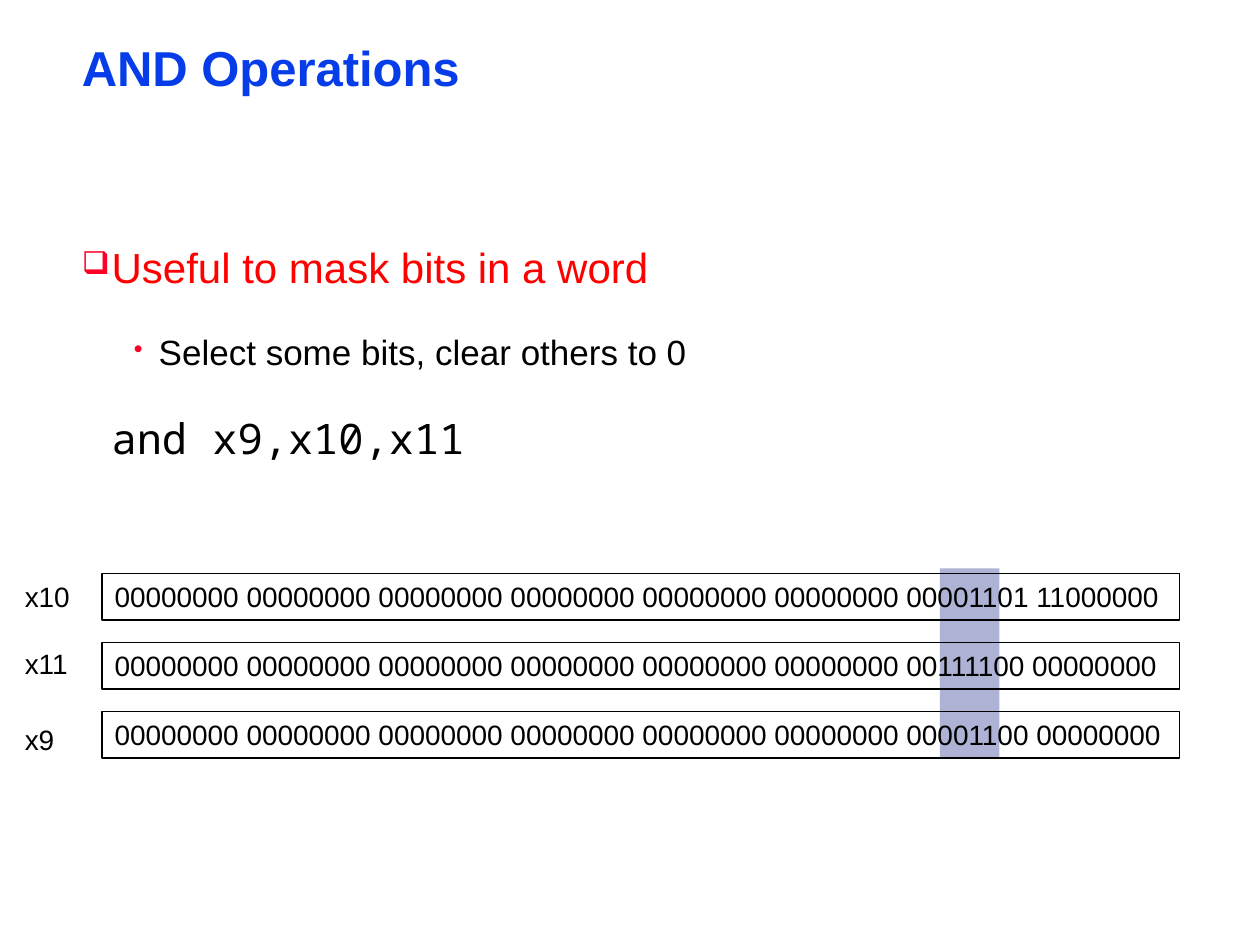
import pptx
import pptx.util
import pptx.dml.color
import pptx.enum.shapes
import pptx.enum.text
import pptx.oxml.ns
from lxml import etree

Cm = pptx.util.Cm
Pt = pptx.util.Pt

COLORS = {
    "title": "063DE8",
    "topic": "FF0000",
    "bullet": "FC0128",
    "text": "000000",
    "mask": "AEB3D5",
}
SANS, MONO = "Arial", "Noto Sans Mono"

ZERO_BYTES = "00000000 " * 6
# Register name, low two bytes, top of the label
REGISTERS = [
    ("x10", "00001101 11000000", 11.56),
    ("x11", "00111100 00000000", 12.9),
    ("x9", "00001100 00000000", 14.45),
]
ROW_TOP, ROW_PITCH, ROW_HEIGHT = 11.56, 1.39, 0.94

# Text, level, size, color, font, left indent, bullet, space before
POINTS = [
    ("Useful to mask bits in a word", 0, 24, "topic", SANS, 0.6, "\u2751", 16),
    ("Select some bits, clear others to 0", 1, 20, "text", SANS, 1.55, "\u2022", 10),
    ("and x9,x10,x11", 0, 24, "text", MONO, 0.6, None, 8),
]
HANGING = [0.6, 0.5]


def rgb(name):
    return pptx.dml.color.RGBColor.from_string(COLORS[name])


def style(paragraph, size, color="text", font=SANS, bold=False):
    for run in paragraph.runs:
        run.font.size = Pt(size)
        run.font.name = font
        run.font.bold = bold
        run.font.color.rgb = rgb(color)


def add_text_area(slide, left, top, width, height, wrap=True):
    area = slide.shapes.add_textbox(Cm(left), Cm(top), Cm(width), Cm(height))
    area.text_frame.word_wrap = wrap
    return area.text_frame


def set_tight_margins(frame):
    frame.margin_left = frame.margin_right = Cm(0.18)
    frame.margin_top = frame.margin_bottom = Cm(0.08)


def add_box(slide, left, top, width, height, fill=None, line=None):
    box = slide.shapes.add_shape(
        pptx.enum.shapes.MSO_SHAPE.RECTANGLE,
        Cm(left), Cm(top), Cm(width), Cm(height))
    box.shadow.inherit = False
    if fill:
        box.fill.solid()
        box.fill.fore_color.rgb = rgb(fill)
    else:
        box.fill.background()
    if line:
        box.line.color.rgb = rgb(line)
        box.line.width = Pt(0.75)
    else:
        box.line.fill.background()
    return box


def set_indent(paragraph, left, hanging, bullet):
    properties = paragraph._p.get_or_add_pPr()
    properties.set("marL", str(Cm(left)))
    properties.set("indent", str(-Cm(hanging) if bullet else 0))
    if not bullet:
        return
    qn = pptx.oxml.ns.qn
    color = etree.SubElement(properties, qn("a:buClr"))
    etree.SubElement(color, qn("a:srgbClr"), val=COLORS["bullet"])
    etree.SubElement(properties, qn("a:buSzPct"), val="75000")
    etree.SubElement(properties, qn("a:buChar"), char=bullet)


def add_title(slide, text):
    frame = add_text_area(slide, 1.47, 0.84, 22.66, 1.19)
    set_tight_margins(frame)
    frame.text = text
    frame.paragraphs[0].line_spacing = 0.87
    style(frame.paragraphs[0], 28, "title", bold=True)


def add_points(slide):
    frame = add_text_area(slide, 1.47, 4.29, 22.66, 7.19)
    set_tight_margins(frame)
    frame.text = "\n".join(point[0] for point in POINTS)
    for paragraph, point in zip(frame.paragraphs, POINTS):
        _, level, size, color, font, left, bullet, before = point
        paragraph.level = level
        paragraph.line_spacing = 1.5
        paragraph.space_before = Pt(before)
        set_indent(paragraph, left, HANGING[level], bullet)
        style(paragraph, size, color, font)


def add_register(slide, row, name, low_bytes, label_top):
    bits = add_box(slide, 2.06, ROW_TOP + row * ROW_PITCH, 21.72, ROW_HEIGHT,
                   line="text").text_frame
    bits.text = ZERO_BYTES + low_bytes
    bits.word_wrap = True
    bits.vertical_anchor = pptx.enum.text.MSO_ANCHOR.TOP
    bits.paragraphs[0].alignment = pptx.enum.text.PP_ALIGN.LEFT
    style(bits.paragraphs[0], 16)

    label = add_text_area(slide, 0.25, label_top, 1.42, ROW_HEIGHT, wrap=False)
    label.auto_size = pptx.enum.text.MSO_AUTO_SIZE.SHAPE_TO_FIT_TEXT
    label.text = name
    style(label.paragraphs[0], 16)


def main():
    deck = pptx.Presentation()
    deck.slide_width, deck.slide_height = Cm(25.4), Cm(19.05)
    slide = deck.slides.add_slide(deck.slide_layouts[6])

    # Heading and explanation
    add_title(slide, "AND Operations")
    add_points(slide)

    # Selected bits behind the register rows
    add_box(slide, 18.95, 11.46, 1.2, 3.84, fill="mask")
    for row, register in enumerate(REGISTERS):
        add_register(slide, row, *register)

    deck.save("out.pptx")


main()
